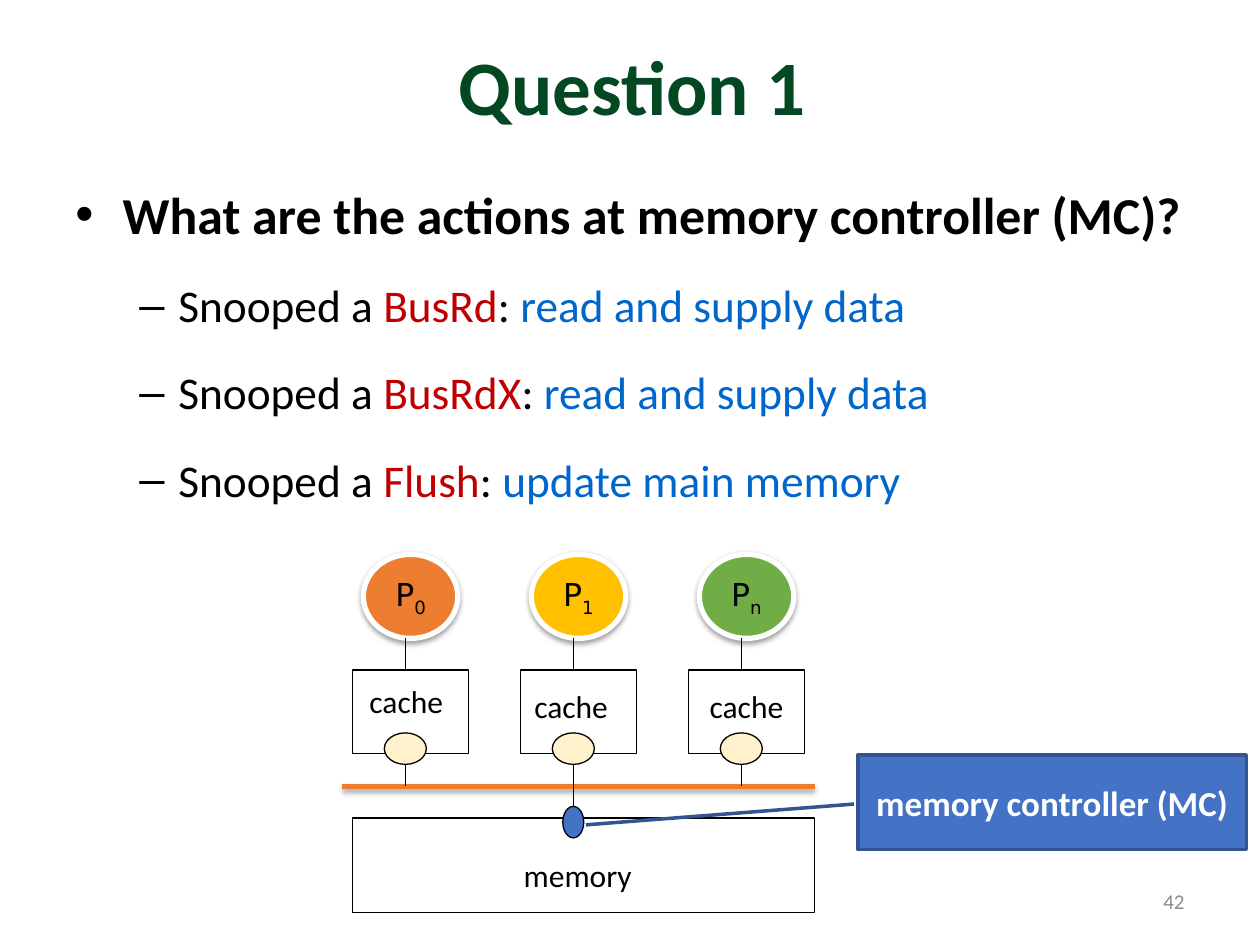
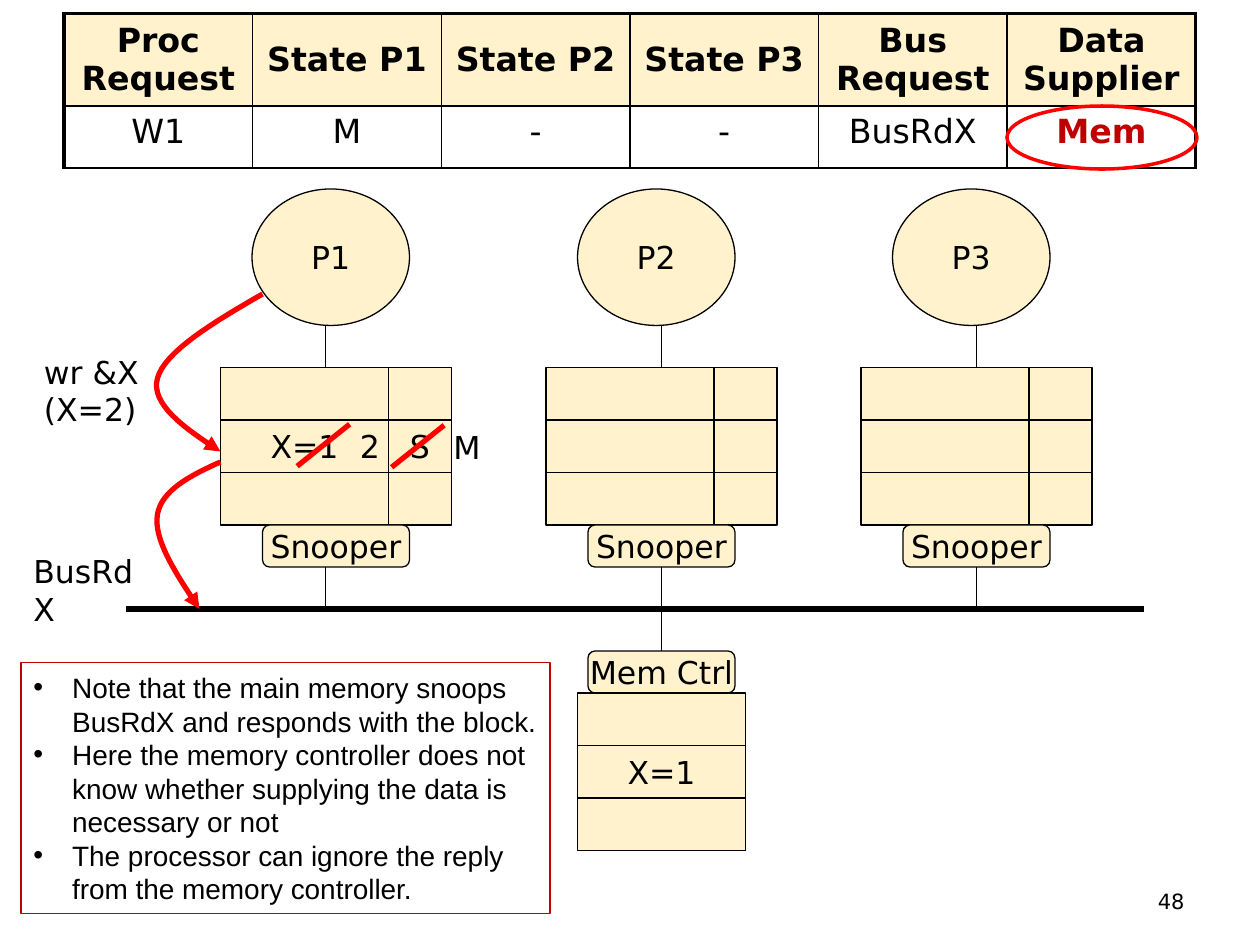
from lxml import etree
from pptx import Presentation, util as u
from pptx.dml.color import RGBColor
from pptx.enum import shapes as es, text as et
from pptx.oxml.ns import qn

PX = 7620  # 120 px to the inch
BLACK, WHITE, RED, DARK = "000000", "FFFFFF", "FF0000", "C00000"
CREAM, BLUE, ORANGE, LINK = "FFF2CC", "4472C4", "ED7D31", "0066CC"
CAL, DEJA = "Calibri", "DejaVu Sans"
SHAPE, ALIGN, MID = es.MSO_SHAPE, et.PP_ALIGN, et.MSO_ANCHOR.MIDDLE
OVAL, RECT = SHAPE.OVAL, SHAPE.RECTANGLE


def px(*vals):
    return [u.Emu(int(v * PX)) for v in vals]


def rgb(code):
    return RGBColor.from_string(code)


def sub(node, tag, **attrs):
    return etree.SubElement(node, qn(tag), {k: str(v) for k, v in attrs.items()})


# Text

def style(run, size=18, name=DEJA, color=BLACK, bold=False, base=None):
    for key, val in dict(size=u.Pt(size), name=name, bold=bold).items():
        setattr(run.font, key, val)
    run.font.color.rgb = rgb(color)
    if base:
        run._r.get_or_add_rPr().set("baseline", str(base))


def write(frame, paras, align=ALIGN.LEFT, **fmt):
    """Each paragraph is a list of runs: (text, changes to fmt)."""
    for i, runs in enumerate(paras):
        para = frame.add_paragraph() if i else frame.paragraphs[0]
        para.alignment = align
        for words, diff in runs:
            run = para.add_run()
            run.text = words
            style(run, **{**fmt, **diff})


def bullet(para, left, hang, mark):
    ppr = para._p.get_or_add_pPr()
    ppr.set("marL", str(left * PX))
    ppr.set("indent", str(-hang * PX))
    sub(ppr, "a:buFont", typeface="Arial")
    sub(ppr, "a:buChar", char=mark)


def label(s, words, x, y, w, h, wrap=False, anchor=None, **fmt):
    frame = s.shapes.add_textbox(*px(x, y, w, h)).text_frame
    frame.word_wrap = wrap
    if anchor is not None:
        frame.vertical_anchor = anchor
    write(frame, [[(row, {})] for row in words.split("\n")], **fmt)


def number(s, words, **fmt):
    label(s, words, 860, 834, 280, 48, True, MID, align=ALIGN.RIGHT, size=12, **fmt)


# Shapes and lines

def shade(shp, alpha, dist):
    props = shp._element.spPr
    for old in props.findall(qn("a:effectLst")):
        props.remove(old)
    cast = sub(sub(props, "a:effectLst"), "a:outerShdw", blurRad=40000,
               dist=dist, dir=5400000, rotWithShape=0)
    sub(sub(cast, "a:srgbClr", val=BLACK), "a:alpha", val=alpha * 1000)


def box(s, kind, x, y, w, h, fill=None, line=BLACK, wt=0.75, runs=None, **fmt):
    shp = s.shapes.add_shape(kind, *px(x, y, w, h))
    shp.shadow.inherit = False
    if fill:
        shp.fill.solid()
        shp.fill.fore_color.rgb = rgb(fill)
    else:
        shp.fill.background()
    shp.line.color.rgb = rgb(line)
    shp.line.width = u.Pt(wt)
    if runs:
        shp.text_frame.word_wrap = False
        shp.text_frame.vertical_anchor = MID
        write(shp.text_frame, [runs], ALIGN.CENTER, **fmt)
    return shp


def link(s, x1, y1, x2, y2, color=BLACK, wt=0.75, start=None, end=None):
    con = s.shapes.add_connector(es.MSO_CONNECTOR.STRAIGHT, *px(x1, y1, x2, y2))
    con.line.color.rgb = rgb(color)
    con.line.width = u.Pt(wt)
    sub(con._element.spPr, "a:effectLst")
    if start:
        con.begin_connect(*start)
    if end:
        con.end_connect(*end)
    return con


def curve(s, *pts):
    """Red arrow along joined cubic curves."""
    dots = []
    for i in range(0, len(pts) - 1, 3):
        for step in range(1, 17):
            t = step / 16
            mix = ((1 - t) ** 3, 3 * t * (1 - t) ** 2, 3 * t * t * (1 - t), t ** 3)
            dots.append(px(*(sum(m * p[ax] for m, p in zip(mix, pts[i:i + 4]))
                             for ax in (0, 1))))
    path = s.shapes.build_freeform(*px(*pts[0]), scale=1.0)
    path.add_line_segments(dots, close=False)
    shp = path.convert_to_shape()
    shp.shadow.inherit = False
    shp.fill.background()
    shp.line.color.rgb = rgb(RED)
    shp.line.width = u.Pt(3)
    sub(shp.line._get_or_add_ln(), "a:tailEnd", type="triangle")


# Slide 1

def body(s, x, y, w, h):
    frame = s.shapes.add_textbox(*px(x, y, w, h)).text_frame
    frame.word_wrap = True
    acts = [("BusRd", "read and supply data"), ("BusRdX", "read and supply data"),
            ("Flush", "update main memory")]
    head = dict(size=29.6, bold=True)
    write(frame, [[("What are the actions at memory controller (MC)?", head)]] + [
        [("Snooped a ", {}), (sig, dict(color=DARK)), (": ", {}), (act, dict(color=LINK))]
        for sig, act in acts], size=25.9, name=CAL)
    for i, para in enumerate(frame.paragraphs):
        for key, val in dict(line_spacing=1.25 if i else 1.2, space_after=u.Pt(6),
                             space_before=u.Pt(5 if i else 6)).items():
            setattr(para, key, val)
        bullet(para, *((98, 37, "–") if i else (45, 45, "•")))


def system(s, x, y):
    bus = y + 221
    cores = [("0", ORANGE, 14, 116), ("1", "FFC000", 11, 120), ("n", "70AD47", 18, 120)]
    box(s, RECT, x + 10, bus + 30, 440, 90)
    shade(link(s, x, bus, x + 450, bus, ORANGE, 3), 35, 23000)
    for i, (name, fill, dx, dy) in enumerate(cores):
        left = x + 160 * i
        mid = left + 60
        core = box(s, OVAL, left + 20, y, 90, 80, fill, WHITE, 3,
                   [("P", {}), (name, dict(base=-25000))])
        shade(core, 38, 20000)
        box(s, RECT, left + 10, y + 110, 110, 80)
        link(s, mid, y + 80, mid, y + 110)
        link(s, mid, y + 190, mid, bus)
        box(s, OVAL, mid - 20, y + 170, 40, 30, CREAM)
        label(s, "cache", left + dx, y + dy, 95, 48, name=CAL)
    # Memory and its controller
    link(s, x + 220, bus, x + 220, bus + 30)
    box(s, OVAL, x + 210, y + 240, 20, 30, BLUE)
    label(s, "memory", x + 161, y + 281, 128, 48, name=CAL)
    call = box(s, SHAPE.LINE_CALLOUT_1, x + 491, y + 191, 370, 90, BLUE, "325491", 2,
               [("memory controller (MC)", {})],
               size=20, name=CAL, color=WHITE, bold=True)
    for i, val in enumerate((0.52, -0.01, 0.74, -0.7)):
        call.adjustments[i] = val


def question(s):
    label(s, "Question 1", 62, 6, 1080, 150, True, MID, align=ALIGN.CENTER,
          size=44, name=CAL, color="044823", bold=True)
    body(s, 60, 156, 1088, 398)
    number(s, "42", name=CAL, color="8C8C8C")
    system(s, 326, 528)


# Slide 2

def edge(cell, **widths):
    props = cell._tc.get_or_add_tcPr()
    for i, side in enumerate("LRTB"):
        line = etree.Element(qn("a:ln" + side), w=str(int(widths.get(side, 1) * 12700)))
        sub(sub(line, "a:solidFill"), "a:srgbClr", val=BLACK)
        props.insert(i, line)


def states(s, x, y, w):
    rows = [["Proc Request", "State P1", "State P2", "State P3",
             "Bus Request", "Data Supplier"],
            ["W1", "M", "-", "-", "BusRdX", "Mem"]]
    high = (88, 59)
    grid = s.shapes.add_table(2, 6, *px(x, y, w, sum(high))).table
    grid.first_row = grid.horz_banding = False
    for r, row in enumerate(rows):
        grid.rows[r].height = px(high[r])[0]
        for c, words in enumerate(row):
            cell = grid.cell(r, c)
            if r:
                cell.fill.background()
            else:
                cell.fill.solid()
                cell.fill.fore_color.rgb = rgb(CREAM)
                cell.vertical_anchor = MID
            mem = words == "Mem"
            write(cell.text_frame, [[(words, {})]], ALIGN.CENTER, size=19,
                  bold=mem or not r, color=DARK if mem else BLACK)
            edge(cell, L=1 if c else 2.25, R=2.25 if c == 5 else 1, T=1 if r else 2.25)
    box(s, OVAL, x + w - 180, y + 88, 181, 60, line=RED, wt=2)


def stack(s, x, y, cols, words):
    """Three rows of cells; the middle row holds the words."""
    for r in range(3):
        left = x
        for w, word in zip(cols, words):
            box(s, RECT, left, y + 50 * r, w, 50, CREAM,
                runs=[(word, {})] if r == 1 and word else None)
            left += w


def tag(s, words, x, y):
    return box(s, SHAPE.ROUNDED_RECTANGLE, x, y, 140, 40, CREAM, runs=[(words, {})])


def node(s, name, x, y, wire, words):
    box(s, OVAL, x + 30, y, 150, 130, CREAM, runs=[(name, {})])
    link(s, x + wire, y + 130, x + wire, y + 170)
    stack(s, x, y + 170, (160, 60), words)
    snoop = tag(s, "Snooper", x + 40, y + 320)
    link(s, x + wire, y + 360, x + wire, y + 400,
         start=(snoop, 2) if wire == 110 else None)


def memory(s, x, y):
    ctrl = tag(s, "Mem Ctrl", x + 10, y + 40)
    link(s, x + 80, y, x + 80, y + 40, end=(ctrl, 0))
    stack(s, x, y + 80, (160,), ("X=1",))


def moves(s, x, y):
    # Write request, then bus request
    curve(s, (x + 40, y - 70), (x - 7, y - 43), (x - 53, y - 15), (x - 60, y + 10),
          (x - 67, y + 35), (x - 34, y + 58), (x, y + 80))
    label(s, "wr &X\n(X=2)", x - 180, y - 20, 115, 84)
    curve(s, (x, y + 90), (x - 29, y + 103), (x - 56, y + 117), (x - 60, y + 140),
          (x - 64, y + 164), (x - 42, y + 197), (x - 20, y + 230))
    label(s, "BusRdX", x - 190, y + 170, 139, 48)
    # Struck values and what replaces them
    for dx, dy, new, left in ((163, 95, "M", 210), (73, 94, "2", 121)):
        link(s, x + dx, y + dy, x + dx + 50, y + dy - 40, RED, 3)
        label(s, new, x + left, y + dy - 43, 48, 48)


def notes(s, x, y, w, h):
    frame = box(s, RECT, x, y, w, h, line=DARK).text_frame
    frame.word_wrap = True
    lines = ["Note that the main memory snoops BusRdX and responds with the block.",
             "Here the memory controller does not know whether supplying the data "
             "is necessary or not",
             "The processor can ignore the reply from the memory controller."]
    write(frame, [[(row, {})] for row in lines], size=16, name="Arial")
    for para in frame.paragraphs:
        bullet(para, 37, 37, "•")


def trace(s):
    number(s, "48")
    link(s, 120, 580, 1090, 580, wt=3.25)
    for name, x, wire, words in (("P1", 210, 100, ("X=1", "S")),
                                 ("P2", 520, 110, ("", "")),
                                 ("P3", 820, 110, ("", ""))):
        node(s, name, x, 180, wire, words)
    memory(s, 550, 580)
    moves(s, 210, 350)
    states(s, 61, 13, 1078)
    notes(s, 20, 631, 504, 239)


def main():
    deck = Presentation()
    deck.slide_width, deck.slide_height = px(1200, 900)
    for draw in (question, trace):
        draw(deck.slides.add_slide(deck.slide_layouts[6]))
    deck.save("out.pptx")


if __name__ == "__main__":
    main()
